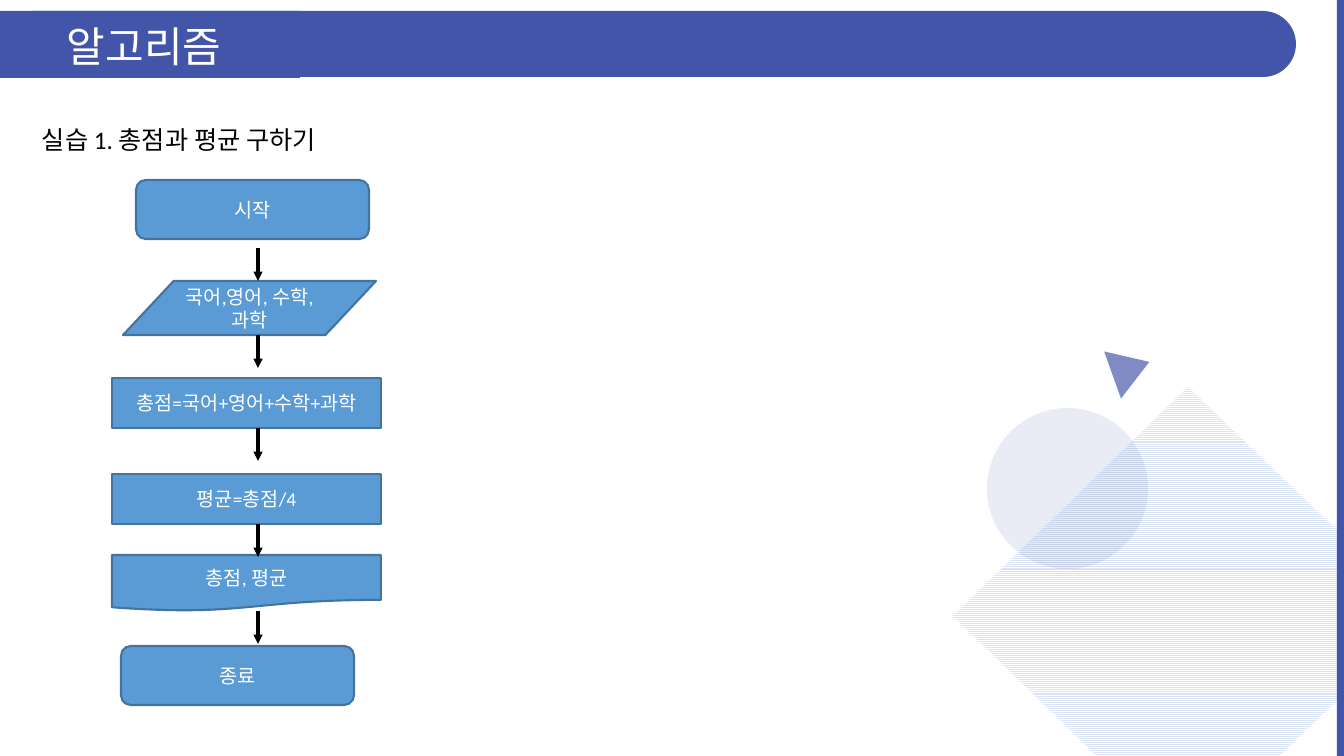
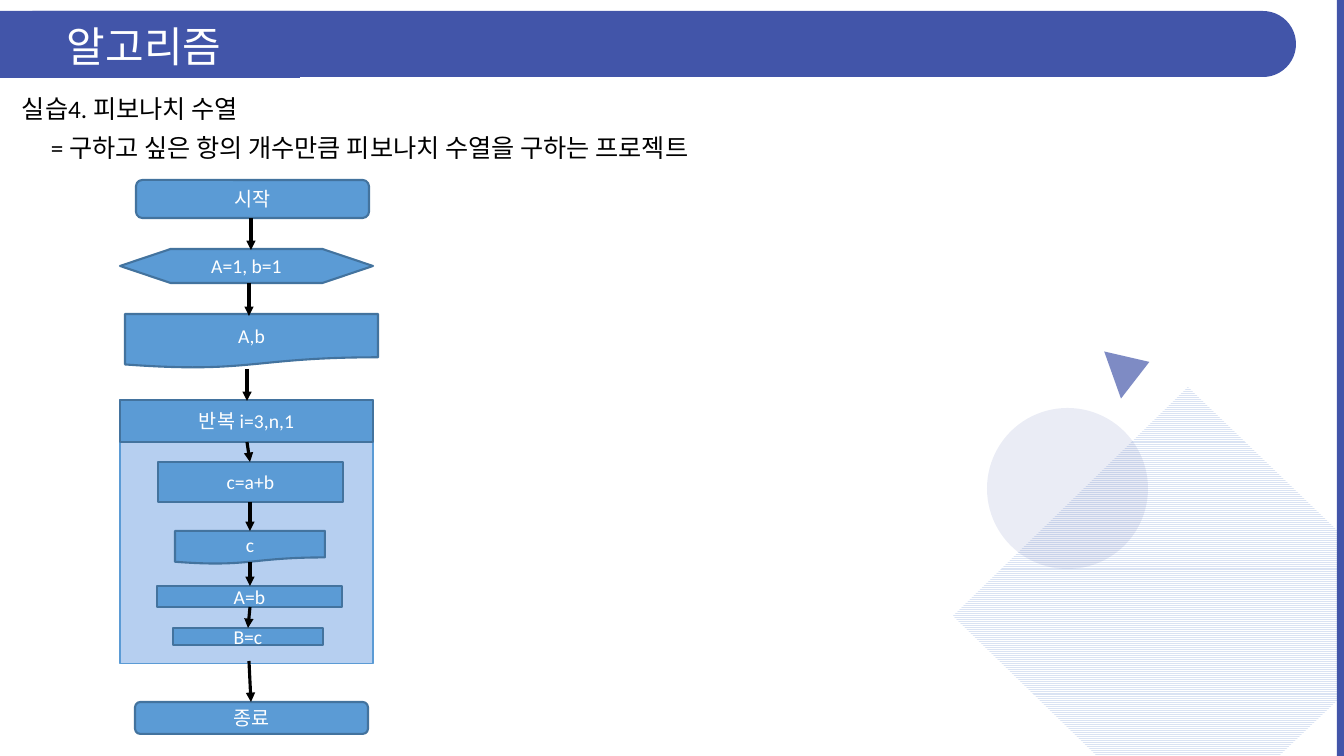
import pptx
import pptx.util
import pptx.dml.color
import pptx.enum.dml
import pptx.enum.shapes
import pptx.enum.text
import pptx.oxml.ns
import lxml.etree

SHAPE = pptx.enum.shapes.MSO_SHAPE
ALIGN = pptx.enum.text.PP_ALIGN
ANCHOR = pptx.enum.text.MSO_ANCHOR
qn = pptx.oxml.ns.qn

SLIDE_WIDTH, SLIDE_HEIGHT = 1344, 756
EMU_PER_PX = 12192000 / SLIDE_WIDTH

COLORS = {
    "brand": "4255A9",
    "white": "FFFFFF",
    "black": "000000",
    "stripe": "DAE3F3",
    "step": "5B9BD5",
    "step_line": "43739E",
    "loop": "B6CFF0",
}
TITLE_FONT, BODY_FONT = "Noto Sans CJK KR", "Calibri"

TITLE = "알고리즘"
TITLE_BOX = (62, 21, 842, 43)
DIAMOND = [(1188, 387), (1342, 535), (1342, 696), (1279, 756), (1097, 756), (953, 616)]
LOOP_BOX = (120, 400, 253, 264)

KINDS = {
    "terminal": SHAPE.FLOWCHART_ALTERNATE_PROCESS,
    "input": SHAPE.FLOWCHART_DATA,
    "process": SHAPE.FLOWCHART_PROCESS,
    "output": SHAPE.FLOWCHART_DOCUMENT,
    "setup": SHAPE.FLOWCHART_PREPARATION,
}

# Captions: text, box. Steps: kind, text, box. Arrows: start x, y, end x, y.
SLIDES = [
    {
        "captions": [("실습 1. 총점과 평균 구하기", (32, 119, 313, 40))],
        "steps": [
            ("terminal", "시작", (136, 180, 233, 59)),
            ("input", "국어,영어, 수학, 과학", (123, 281, 253, 54)),
            ("process", "총점=국어+영어+수학+과학", (112, 378, 269, 50)),
            ("process", "평균=총점/4", (112, 474, 269, 50)),
            ("output", "총점, 평균", (112, 555, 269, 56)),
            ("terminal", "종료", (121, 646, 233, 59)),
        ],
        "arrows": [(258, top, 258, top + 33) for top in (248, 335, 428, 524, 611)],
    },
    {
        "captions": [
            ("실습4. 피보나치 수열", (12, 88, 254, 40)),
            ("= 구하고 싶은 항의 개수만큼 피보나치 수열을 구하는 프로젝트", (41, 127, 711, 40)),
        ],
        "steps": [
            ("terminal", "시작", (136, 180, 233, 38)),
            ("setup", "A=1, b=1", (120, 249, 253, 34)),
            ("output", "A,b", (125, 314, 253, 54)),
            ("terminal", "종료", (135, 702, 233, 32)),
        ],
        "loop": {
            "steps": [
                ("process", "반복 i=3,n,1", (120, 400, 253, 42)),
                ("process", "c=a+b", (158, 462, 185, 40)),
                ("output", "c", (175, 531, 150, 33)),
                ("process", "A=b", (157, 586, 185, 21)),
                ("process", "B=c", (173, 628, 150, 17)),
            ],
            "arrows": [
                (247, 442, 250, 462),
                (250, 502, 250, 531),
                (250, 562, 250, 586),
                (250, 607, 248, 628),
            ],
        },
        "arrows": [
            (251, 218, 251, 250),
            (249, 283, 249, 316),
            (247, 369, 247, 401),
            (249, 661, 251, 702),
        ],
    },
]


def px(*lengths):
    return [pptx.util.Emu(round(length * EMU_PER_PX)) for length in lengths]


def rgb(name):
    return pptx.dml.color.RGBColor.from_string(COLORS[name])


def format_text(text_frame, size, font, color, align):
    for paragraph in text_frame.paragraphs:
        paragraph.alignment = align
        for run in paragraph.runs:
            run.font.size = pptx.util.Pt(size)
            run.font.name = font
            run.font.color.rgb = rgb(color)
            properties = run.font._element
            east_asian = lxml.etree.Element(qn("a:ea"), typeface=font)
            properties.find(qn("a:latin")).addnext(east_asian)


def paint(shape, fill, line=None, width=1.5, opacity=100):
    shape.shadow.inherit = False
    shape.fill.solid()
    shape.fill.fore_color.rgb = rgb(fill)
    if opacity < 100:
        color = shape.element.spPr.find(qn("a:solidFill"))[0]
        lxml.etree.SubElement(color, qn("a:alpha"), val=str(opacity * 1000))
    if line:
        shape.line.color.rgb = rgb(line)
        shape.line.width = pptx.util.Pt(width)
    else:
        shape.line.fill.background()


def add_step(shapes, kind, text, box):
    shape = shapes.add_shape(KINDS[kind], *px(*box))
    paint(shape, "step", "step_line")
    text_frame = shape.text_frame
    text_frame.word_wrap = True
    text_frame.vertical_anchor = ANCHOR.MIDDLE
    text_frame.text = text
    format_text(text_frame, 14, BODY_FONT, "white", ALIGN.CENTER)


def add_arrow(shapes, ends):
    connector = shapes.add_connector(pptx.enum.shapes.MSO_CONNECTOR.STRAIGHT, *px(*ends))
    connector.line.color.rgb = rgb("black")
    connector.line.width = pptx.util.Pt(2.25)
    line = connector.line._get_or_add_ln()
    lxml.etree.SubElement(line, qn("a:tailEnd"), type="triangle")
    lxml.etree.SubElement(connector.element.spPr, qn("a:effectLst"))


def add_flow(shapes, flow):
    for step in flow["steps"]:
        add_step(shapes, *step)
    if "loop" in flow:
        group = shapes.add_group_shape()
        body = group.shapes.add_shape(KINDS["process"], *px(*LOOP_BOX))
        paint(body, "loop", "step", 0.79)
        add_flow(group.shapes, flow["loop"])
    for ends in flow["arrows"]:
        add_arrow(shapes, ends)


def add_caption(shapes, text, box):
    text_frame = shapes.add_textbox(*px(*box)).text_frame
    text_frame.word_wrap = False
    text_frame.text = text
    format_text(text_frame, 18, BODY_FONT, "black", ALIGN.LEFT)


def decorate_layout(layout, slide):
    """Draw the shared band and ornaments, then move them into the layout."""
    shapes = slide.shapes
    band_start = shapes.add_shape(SHAPE.RECTANGLE, *px(0, 11, 300, 67))
    band = shapes.add_shape(SHAPE.ROUNDED_RECTANGLE, *px(0, 11, 1296, 66))
    band.adjustments[0] = 0.5
    builder = shapes.build_freeform(*DIAMOND[0], scale=EMU_PER_PX)
    builder.add_line_segments(DIAMOND[1:], close=True)
    diamond = builder.convert_to_shape()
    circle = shapes.add_shape(SHAPE.OVAL, *px(987, 408, 161, 161))
    triangle = shapes.add_shape(SHAPE.ISOSCELES_TRIANGLE, *px(1106, 349, 50, 39))
    triangle.rotation = 70.4
    edge = shapes.add_shape(SHAPE.RECTANGLE, *px(1337, 0, 7, SLIDE_HEIGHT))

    ornaments = [
        (band_start, 100),
        (band, 100),
        (diamond, 100),
        (circle, 11),
        (triangle, 68),
        (edge, 100),
    ]
    for position, (shape, opacity) in enumerate(ornaments):
        paint(shape, "brand", opacity=opacity)
        layout.shapes.element.insert(2 + position, shape.element)
    diamond.fill.patterned()
    diamond.fill.pattern = pptx.enum.dml.MSO_PATTERN.LIGHT_HORIZONTAL
    diamond.fill.fore_color.rgb = rgb("stripe")
    diamond.fill.back_color.rgb = rgb("white")


def set_title(slide):
    title = slide.shapes.title
    title.left, title.top, title.width, title.height = px(*TITLE_BOX)
    text_frame = title.text_frame
    text_frame.text = TITLE
    text_frame.word_wrap = True
    text_frame.auto_size = pptx.enum.text.MSO_AUTO_SIZE.NONE
    text_frame.vertical_anchor = ANCHOR.TOP
    text_frame.margin_left = text_frame.margin_right = 0
    paragraph = text_frame.paragraphs[0]
    paragraph.line_spacing = 0.9
    paragraph.space_before = pptx.util.Pt(14)
    paragraph._p.get_or_add_pPr().set("marL", str(px(5)[0]))
    format_text(text_frame, 30, TITLE_FONT, "white", ALIGN.LEFT)


def main():
    presentation = pptx.Presentation()
    presentation.slide_width, presentation.slide_height = px(SLIDE_WIDTH, SLIDE_HEIGHT)
    layout = presentation.slide_layouts.get_by_name("Title Only")
    for number, content in enumerate(SLIDES):
        slide = presentation.slides.add_slide(layout)
        if number == 0:
            decorate_layout(layout, slide)
        set_title(slide)
        for caption in content["captions"]:
            add_caption(slide.shapes, *caption)
        add_flow(slide.shapes, content)
    presentation.save("out.pptx")


if __name__ == "__main__":
    main()
